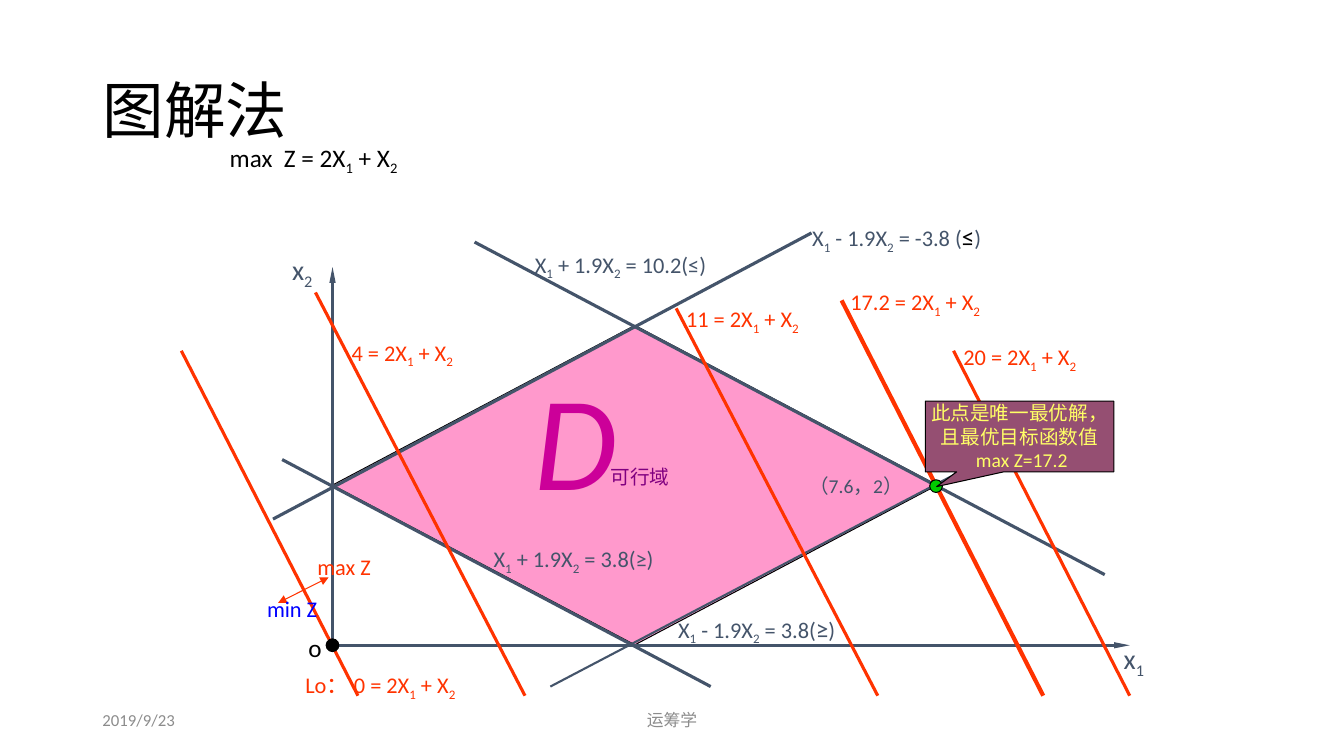
import dataclasses

import pptx
import pptx.dml.color
import pptx.enum.shapes
import pptx.enum.text
import pptx.oxml
import pptx.oxml.ns
import pptx.util
from pptx.util import Cm

SHAPES = pptx.enum.shapes.MSO_SHAPE
ALIGN = pptx.enum.text.PP_ALIGN
ANCHOR = pptx.enum.text.MSO_ANCHOR


@dataclasses.dataclass(frozen=True)
class Theme:
    font: str = "Calibri"
    # Colours
    black: str = "000000"
    footer: str = "8C8C8C"
    slate: str = "44546A"
    objective: str = "FF3300"
    minimum: str = "0000FF"
    region: str = "FF99CC"
    region_letter: str = "CC0099"
    region_name: str = "800080"
    optimum: str = "00CC00"
    callout: str = "954F72"
    callout_text: str = "FFFF66"
    # Type sizes
    title_size: int = 44
    letter_size: int = 96
    axis_size: int = 20
    formula_size: int = 18
    label_size: int = 16
    note_size: int = 14
    footer_size: int = 12


def rgb(colour):
    return pptx.dml.color.RGBColor.from_string(colour)


class SlideBuilder:
    def __init__(self, slide, theme):
        self.slide = slide
        self.theme = theme

    def style(self, font, size, colour):
        font.name = self.theme.font
        font.size = pptx.util.Pt(size)
        font.color.rgb = rgb(colour)

    def title(self, text, left, top, width, height):
        shape = self.slide.shapes.title
        shape.left, shape.top, shape.width, shape.height = map(Cm, (left, top, width, height))
        shape.text_frame.text = text
        shape.text_frame.vertical_anchor = ANCHOR.MIDDLE
        paragraph = shape.text_frame.paragraphs[0]
        paragraph.alignment = ALIGN.LEFT
        paragraph.line_spacing = 0.9
        self.style(paragraph.font, self.theme.title_size, self.theme.black)

    def label(self, text, left, top, width, size, colour, height=1.0, italic=None,
              align=None, anchor=ANCHOR.TOP, wrap=True, large=None):
        """Add text; "_" lowers the next character, large is (symbol, colour)."""
        box = self.slide.shapes.add_textbox(Cm(left), Cm(top), Cm(width), Cm(height))
        box.text_frame.word_wrap = wrap
        box.text_frame.vertical_anchor = anchor
        paragraph = box.text_frame.paragraphs[0]
        paragraph.alignment = align
        self.style(paragraph.font, size, colour)
        paragraph.font.italic = italic

        first, *rest = text.split("_")
        pieces = [(first, False)]
        for part in rest:
            pieces += [(part[0], True), (part[1:], False)]
        for piece, lowered in pieces:
            chunks = piece.partition(large[0]) if large else (piece,)
            for chunk in filter(None, chunks):
                run = paragraph.add_run()
                run.text = chunk
                if lowered:
                    run.font._element.set("baseline", "-25000")
                if large and chunk == large[0]:
                    self.style(run.font, self.theme.formula_size, large[1])

    def line(self, start, end, colour, weight=2.25, arrows=(), arrow_size=("med", "med")):
        connector = self.slide.shapes.add_connector(
            pptx.enum.shapes.MSO_CONNECTOR.STRAIGHT, *map(Cm, start + end))
        connector.line.color.rgb = rgb(colour)
        connector.line.width = pptx.util.Pt(weight)
        for arrow in arrows:
            head = pptx.oxml.parse_xml(
                f'<a:{arrow} {pptx.oxml.ns.nsdecls("a")} type="triangle" '
                f'w="{arrow_size[0]}" len="{arrow_size[1]}"/>')
            connector.line._get_or_add_ln().append(head)
        connector._element.spPr.append(
            pptx.oxml.parse_xml(f'<a:effectLst {pptx.oxml.ns.nsdecls("a")}/>'))

    def shape(self, kind, left, top, width, height, fill):
        shape = self.slide.shapes.add_shape(kind, Cm(left), Cm(top), Cm(width), Cm(height))
        shape.shadow.inherit = False
        shape.fill.solid()
        shape.fill.fore_color.rgb = rgb(fill)
        shape.line.color.rgb = rgb(self.theme.black)
        shape.line.width = pptx.util.Pt(0.75)
        return shape

    def dot(self, centre, fill, diameter=0.32):
        x, y = centre
        self.shape(SHAPES.OVAL, x - diameter / 2, y - diameter / 2, diameter, diameter, fill)

    def callout(self, lines, left, top, width, height, pointer):
        shape = self.shape(SHAPES.RECTANGULAR_CALLOUT, left, top, width, height,
                           self.theme.callout)
        shape.adjustments[0], shape.adjustments[1] = pointer
        frame = shape.text_frame
        frame.word_wrap = False
        frame.vertical_anchor = ANCHOR.MIDDLE
        frame.text = "\n".join(lines)
        for paragraph in frame.paragraphs:
            paragraph.alignment = ALIGN.CENTER
            self.style(paragraph.font, self.theme.note_size, self.theme.callout_text)


def main():
    presentation = pptx.Presentation()
    presentation.slide_width, presentation.slide_height = Cm(33.87), Cm(19.05)
    theme = Theme()
    slide = presentation.slides.add_slide(presentation.slide_layouts[5])
    builder = SlideBuilder(slide, theme)

    # Footer and title
    builder.label("2019/9/23", 2.33, 17.65, 7.62, theme.footer_size, theme.footer,
                  anchor=ANCHOR.MIDDLE)
    builder.label("运筹学", 11.22, 17.65, 11.43, theme.footer_size, theme.footer,
                  align=ALIGN.CENTER, anchor=ANCHOR.MIDDLE)
    builder.title("图解法", 2.33, 1.02, 29.21, 3.68)

    # Feasible region and axes
    builder.shape(SHAPES.DIAMOND, 8.38, 8.2, 15.24, 8.05, theme.region)
    origin = (8.38, 16.26)
    for axis_end in ((8.38, 6.73), (28.47, 16.26)):
        builder.line(origin, axis_end, theme.slate, arrows=("tailEnd",),
                     arrow_size=("sm", "lg"))

    # Constraint lines
    for start, end, weight in (
        ((7.11, 11.58), (17.91, 17.3), 2.25),
        ((13.87, 17.3), (27.2, 10.31), 1.5),
        ((11.96, 6.1), (27.84, 14.48), 2.25),
        ((6.88, 13.08), (20.45, 5.87), 2.25),
    ):
        builder.line(start, end, theme.slate, weight)

    # Axis names
    builder.label("x_1", 28.07, 16.03, 1.47, theme.axis_size, theme.slate)
    builder.label("x_2", 7.11, 6.25, 1.47, theme.axis_size, theme.slate)
    builder.label("o", 7.52, 15.82, 1.07, theme.formula_size, theme.black)

    # Objective lines, all ending at the same level
    objective_bottom = 17.53
    for start, end_x, weight in (
        ((21.21, 7.57), 26.29, 3),
        ((4.57, 8.84), 9.02, 2.25),
        ((7.95, 7.37), 13.23, 2.25),
        ((17.04, 7.77), 22.12, 2.25),
        ((24.03, 8.84), 28.47, 2.25),
    ):
        builder.line(start, (end_x, objective_bottom), theme.objective, weight)

    # Optimal point and constraint equations
    builder.dot((23.59, 12.25), theme.optimum)
    for text, left, top, width, large in (
        ("X_1 - 1.9X_2 = 3.8(≥)", 16.84, 15.32, 5.28, ("≥", theme.slate)),
        ("X_1 + 1.9X_2 = 3.8(≥)", 12.19, 13.61, 5.51, None),
        ("X_1 - 1.9X_2 = -3.8 (≤)", 20.22, 5.46, 5.72, ("≤", theme.black)),
        ("X_1 + 1.9X_2 = 10.2(≤)", 13.23, 6.2, 5.72, None),
    ):
        builder.label(text, left, top, width, theme.label_size, theme.slate, large=large)

    # Objective equations
    for value, left, top, width in (
        ("4", 8.61, 8.41, 3.61),
        ("20", 24.03, 8.53, 3.81),
        ("17.2", 21.18, 7.14, 4.24),
        ("11", 17.04, 7.57, 3.81),
        (" Lo： 0", 7.32, 16.79, 5.51),
    ):
        builder.label(f"{value} = 2X_1 + X_2", left, top, width,
                      theme.label_size, theme.objective)

    # Names of the point and the region
    builder.label("（7.6，2）", 20.14, 11.81, 3.48, theme.note_size, theme.slate)
    builder.label("D", 13.23, 8.84, 2.97, theme.letter_size, theme.region_letter,
                  height=4.32, italic=True)

    # Direction of improvement
    builder.line((7.01, 15.19), (8.28, 14.55), theme.objective, 0.75,
                 arrows=("headEnd", "tailEnd"))
    builder.label("max Z", 7.75, 13.82, 2.11, theme.label_size, theme.objective)
    builder.label("min Z", 6.48, 14.88, 2.34, theme.label_size, theme.minimum)
    builder.dot(origin, theme.black)

    # Conclusion, region name and objective function
    builder.callout(("此点是唯一最优解，", "且最优目标函数值", " max Z=17.2"),
                    23.32, 10.11, 4.75, 1.78, (-0.44, 0.71))
    builder.label("可行域", 15.14, 11.58, 2.34, theme.note_size, theme.region_name)
    builder.label("max  Z = 2X_1 + X_2", 5.54, 3.45, 4.85, theme.formula_size, theme.black,
                  wrap=False)

    presentation.save("out.pptx")


if __name__ == "__main__":
    main()
